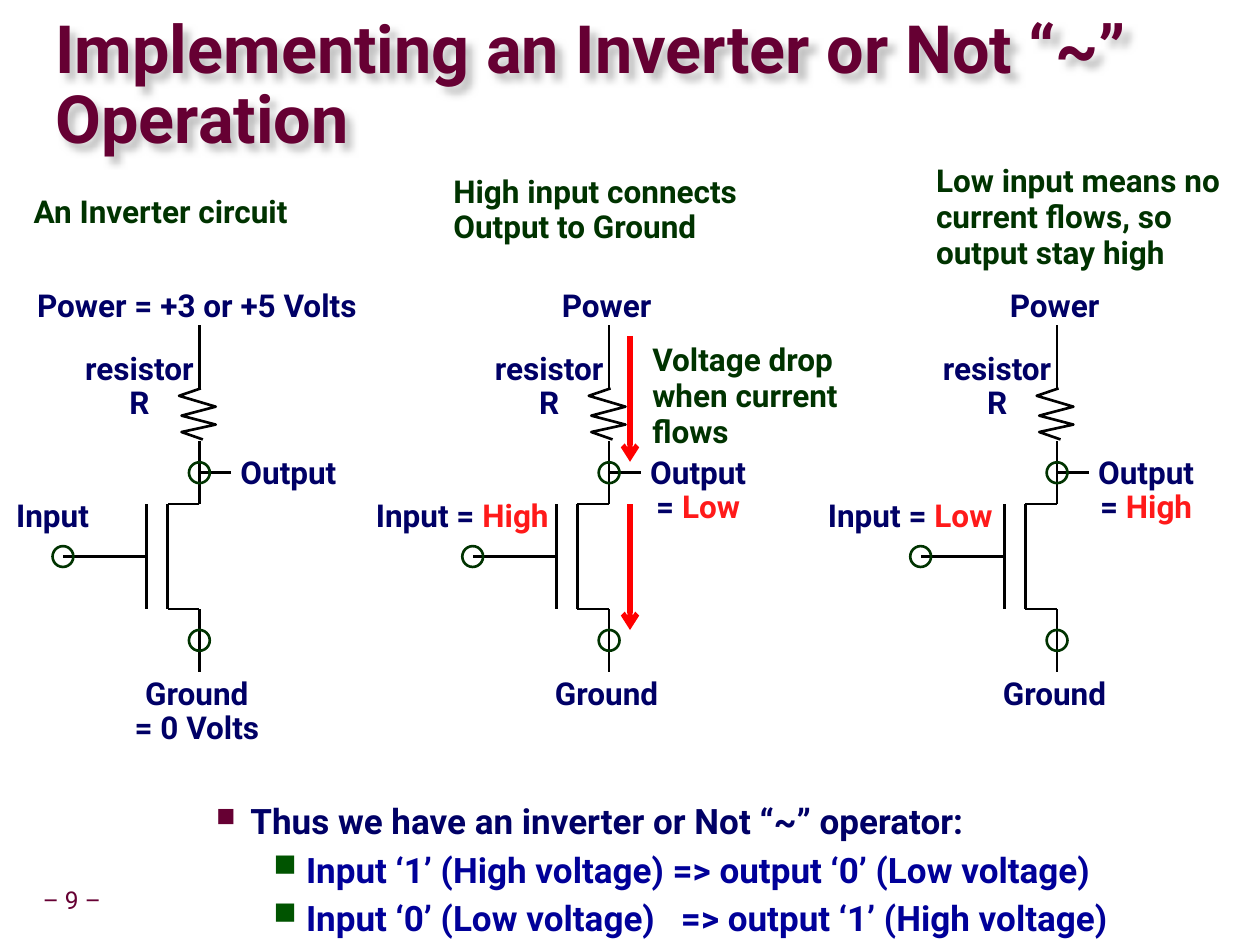
from lxml import etree
from pptx import Presentation
from pptx.dml.color import RGBColor
from pptx.enum.shapes import MSO_CONNECTOR, MSO_SHAPE
from pptx.enum.text import MSO_ANCHOR, MSO_AUTO_SIZE as FIT, PP_ALIGN
from pptx.oxml.ns import qn
from pptx.util import Cm, Pt

COLORS = {
    "maroon": "660033", "navy": "000066", "blue": "000099", "green": "003300",
    "bullet": "005400", "red": "FF1A1A", "arrow": "FF0000",
    "black": "000000", "white": "FFFFFF", "shadow": "C0C0C0",
}


def rgb(name):
    return RGBColor.from_string(COLORS[name])


def add_xml(parent, tag, **attrs):
    return etree.SubElement(parent, qn(tag), {k: str(v) for k, v in attrs.items()})


class Deck:
    """Style and current slide; lengths are in centimetres."""
    font = "Roboto"

    def __init__(self):
        self.prs = Presentation()
        self.prs.slide_width, self.prs.slide_height = Cm(25.4), Cm(19.05)
        self.slide = self.prs.slides.add_slide(self.prs.slide_layouts[5])
        self.shapes = self.slide.shapes

    def start_group(self):
        self.shapes = self.slide.shapes.add_group_shape().shapes

    def end_group(self):
        self.shapes = self.slide.shapes

    def style(self, p, size, color, spacing, bold=True, align=PP_ALIGN.LEFT):
        p.alignment, p.line_spacing = align, spacing
        p.font.name, p.font.size, p.font.bold = self.font, Pt(size), bold
        p.font.color.rgb = rgb(color)

    def title(self, text, box):
        sp = self.slide.shapes.title
        sp.left, sp.top, sp.width, sp.height = map(Cm, box)
        tf = sp.text_frame
        tf.margin_left = tf.margin_right = tf.margin_top = tf.margin_bottom = 0
        tf.vertical_anchor, tf.auto_size, tf.word_wrap = MSO_ANCHOR.MIDDLE, FIT.NONE, True
        p = tf.paragraphs[0]
        p.add_run().text = text
        self.style(p, 38, "maroon", 0.87)
        effects = add_xml(sp._element.spPr, "a:effectLst")
        shadow = add_xml(effects, "a:outerShdw", blurRad=50800, dist=53882,
                         dir=2700000, algn="ctr", rotWithShape=0)
        add_xml(shadow, "a:srgbClr", val=COLORS["shadow"])

    def fill_text(self, tf, lines, color="navy", size=18, spacing=0.9, **kw):
        """Write one paragraph per line; what follows a bar is red."""
        for i, line in enumerate(lines):
            p = tf.add_paragraph() if i else tf.paragraphs[0]
            plain, _, marked = line.partition("|")
            p.add_run().text = plain
            if marked:
                r = p.add_run()
                r.text = marked
                r.font.color.rgb = rgb("red")
            self.style(p, size, color, spacing, **kw)

    def label(self, center, top, width, *lines, **kw):
        height = 0.1 + 0.87 * len(lines) if len(lines) == 1 else 1.65
        sp = self.shapes.add_textbox(Cm(center - width / 2), Cm(top), Cm(width), Cm(height))
        tf = sp.text_frame
        tf.word_wrap, tf.auto_size = False, FIT.SHAPE_TO_FIT_TEXT
        self.fill_text(tf, lines, align=PP_ALIGN.CENTER, **kw)

    def caption(self, text, box):
        tf = self.shapes.add_textbox(*map(Cm, box)).text_frame
        tf.word_wrap = True
        self.fill_text(tf, [text], "green", spacing=0.95)

    def white_box(self, box, lines):
        sp = self.shapes.add_shape(MSO_SHAPE.RECTANGLE, *map(Cm, box))
        sp.shadow.inherit = False
        sp.fill.solid()
        sp.fill.fore_color.rgb = rgb("white")
        sp.line.fill.background()
        tf = sp.text_frame
        tf.word_wrap, tf.vertical_anchor = True, MSO_ANCHOR.TOP
        tf.auto_size = FIT.SHAPE_TO_FIT_TEXT
        self.fill_text(tf, lines, align=PP_ALIGN.CENTER)

    def line(self, x1, y1, x2, y2, color="black", width=1.5, arrow=False):
        c = self.shapes.add_connector(MSO_CONNECTOR.STRAIGHT, *map(Cm, (x1, y1, x2, y2)))
        c.line.color.rgb, c.line.width = rgb(color), Pt(width)
        if arrow:
            add_xml(c.line._get_or_add_ln(), "a:tailEnd", type="arrow")
        add_xml(c._element.spPr, "a:effectLst")

    def terminal(self, x, y, size=0.42):
        sp = self.shapes.add_shape(MSO_SHAPE.OVAL, Cm(x - size / 2), Cm(y - size / 2),
                                   Cm(size), Cm(size))
        sp.shadow.inherit = False
        sp.fill.background()
        sp.line.color.rgb, sp.line.width = rgb("green"), Pt(1.5)

    def zigzag(self, points):
        points = [(Cm(x), Cm(y)) for x, y in points]
        fb = self.shapes.build_freeform(*points[0])
        fb.add_line_segments(points[1:], close=False)
        sp = fb.convert_to_shape()
        sp.shadow.inherit = False
        sp.fill.background()
        sp.line.color.rgb, sp.line.width = rgb("black"), Pt(1.5)

    def bullets(self, box, items):
        tf = self.shapes.add_textbox(*map(Cm, box)).text_frame
        tf.word_wrap = True
        for i, (level, text) in enumerate(items):
            p = tf.add_paragraph() if i else tf.paragraphs[0]
            indent, hang, mark, size, color, spacing = LEVELS[level]
            p.level = level
            pPr = p._p.get_or_add_pPr()
            pPr.set("marL", str(Cm(indent)))
            pPr.set("indent", str(-Cm(hang)))
            add_xml(add_xml(pPr, "a:buClr"), "a:srgbClr", val=COLORS[mark])
            add_xml(pPr, "a:buSzPct", val=size * 1000)
            add_xml(pPr, "a:buChar", char="■")
            p.add_run().text = text
            if i:
                p.space_before = Pt(2)
            self.style(p, 20, color, spacing)


# Bullet levels: indent, hanging, mark colour, mark size, text colour, line spacing
LEVELS = {1: (2.06, 0.69, "maroon", 75, "navy", 0.9),
          2: (3.18, 0.66, "bullet", 90, "blue", 1.07)}

# Circuit parts, with x measured from the vertical wire
WIRES = [
    (0, 6.56, 0, 7.83), (0, 8.89, 0, 10.16), (0, 12.28, 0, 13.55),  # vertical wire
    (0, 10.16, -0.64, 10.16), (0, 12.28, -0.64, 12.28),             # drain, source
    (-0.64, 10.16, -0.64, 12.28), (-1.06, 10.16, -1.06, 12.28),     # channel, gate
    (-1.06, 11.22, -2.75, 11.22), (0.64, 9.53, 0, 9.53),            # input, output
]
TERMINALS = [(-2.75, 11.22), (0, 12.91), (0, 9.53)]
RESISTOR = [(0.07, 8.86), (-0.36, 8.71), (0.33, 8.56), (-0.36, 8.38),
            (0.33, 8.2), (-0.41, 7.98), (0.03, 7.83)]


def draw_circuit(d, x, power, ground, inp, output):
    """Each label is (width, line, ...); output is a list of lines."""
    d.start_group()
    d.label(x - 2.96, 9.96, *inp)
    d.white_box((x + 0.42, 9.1, 2.75, 0.97 if len(output) == 1 else 1.65), output)
    for x1, y1, x2, y2 in WIRES:
        d.line(x + x1, y1, x + x2, y2)
    for dx, y in TERMINALS:
        d.terminal(x + dx, y)
    d.zigzag([(x + dx, y) for dx, y in RESISTOR])
    d.label(x - 0.05, 5.72, *power)
    d.label(x - 0.05, 13.55, *ground)
    d.label(x - 1.21, 6.99, 2.87, "resistor", "R")
    d.end_group()


d = Deck()
d.title("Implementing an Inverter or Not “~” Operation", (1.12, 0.69, 24.2, 2.16))

# Conclusion and page number
d.bullets((2.74, 16.08, 22.23, 2.97), [
    (1, "Thus we have an inverter or Not “~” operator:"),
    (2, "Input ‘1’ (High voltage) => output ‘0’ (Low voltage)"),
    (2, "Input ‘0’ (Low voltage)   => output ‘1’ (High voltage)"),
])
d.label(1.45, 17.78, 1.68, "– 9 –", color="maroon", size=14, bold=False)

# Three circuits
power, ground = (2.44, "Power"), (2.82, "Ground")
draw_circuit(d, 12.28, power, ground, (4.24, "Input = |High"), ["Output", "= |Low"])
draw_circuit(d, 21.31, power, ground, (4.09, "Input = |Low"), ["Output", "= |High"])
draw_circuit(d, 4.02, (7.32, "Power = +3 or +5 Volts"),
             (3.12, "Ground", "= 0 Volts"), (2.11, "Input"), ["Output"])

# Captions
for text, box in [
    ("Low input means no current flows, so output stay high", (18.62, 3.18, 6.35, 2.34)),
    ("Voltage drop when current flows", (12.9, 6.78, 5.51, 2.34)),
    ("An Inverter circuit", (0.43, 3.81, 6.55, 1.07)),
    ("High input connects Output to Ground", (8.89, 3.39, 6.78, 2.34)),
]:
    d.caption(text, box)

# Current flow
for top in (6.77, 10.16):
    d.line(12.7, top, 12.7, top + 2.54, "arrow", 3, arrow=True)

d.prs.save("out.pptx")
